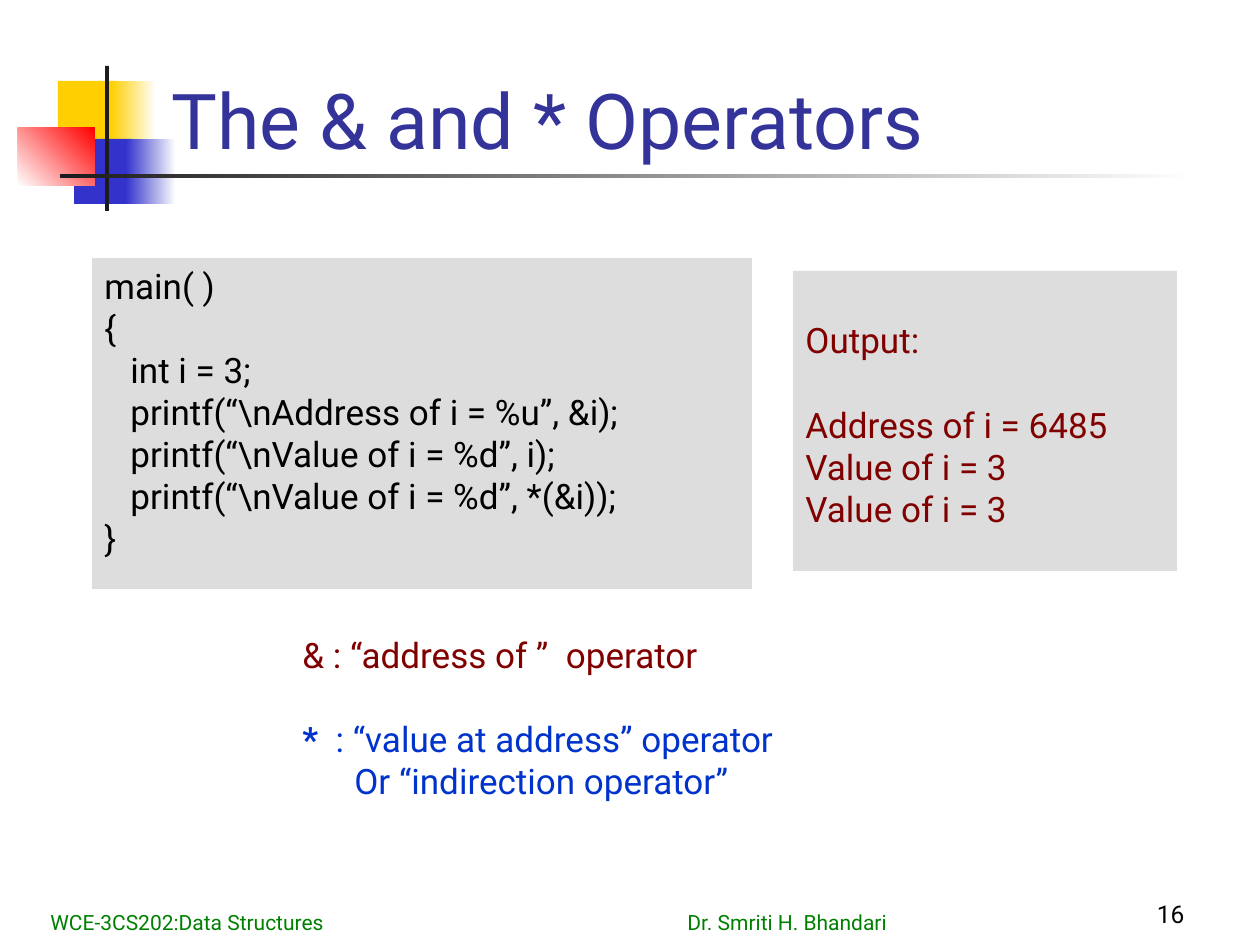
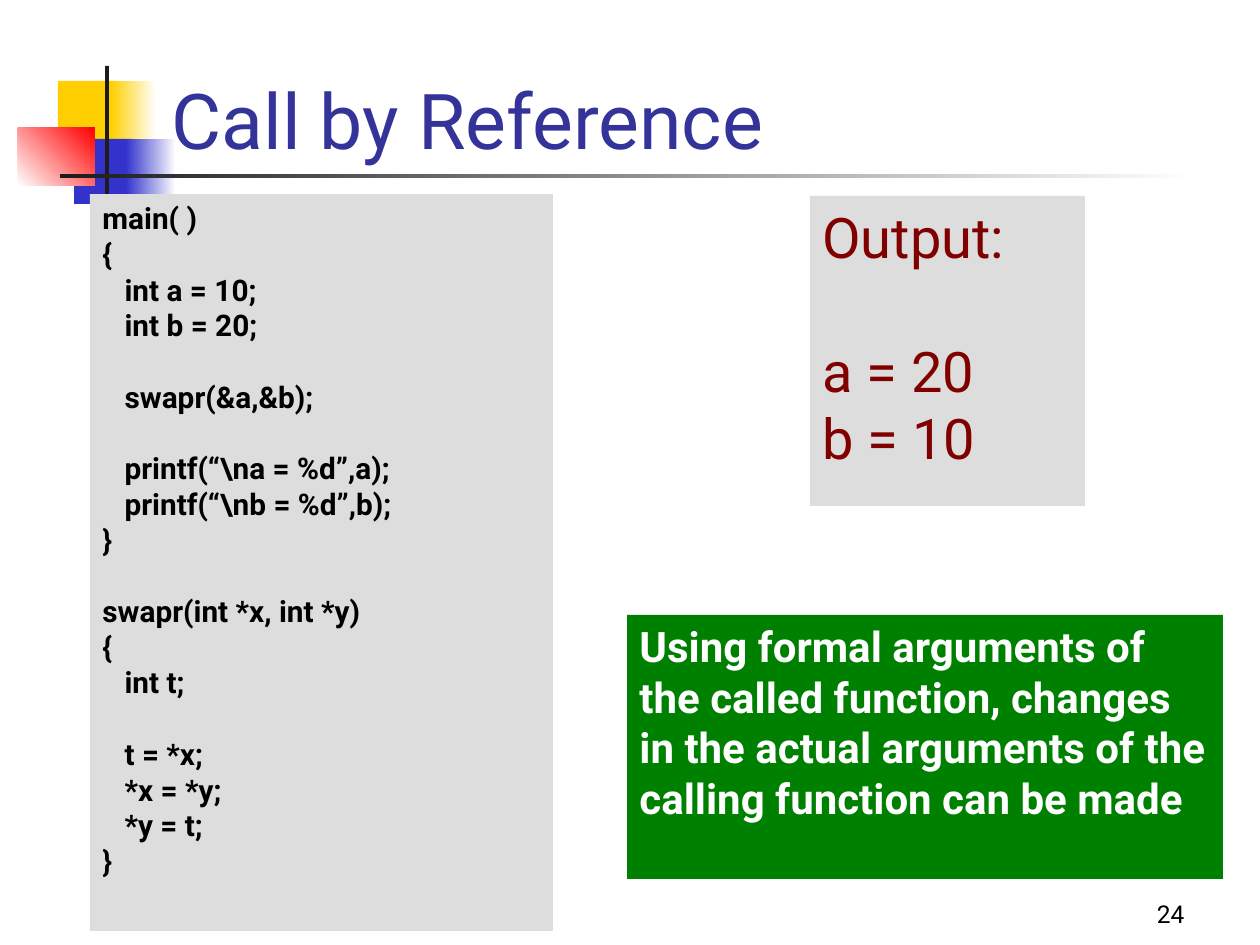
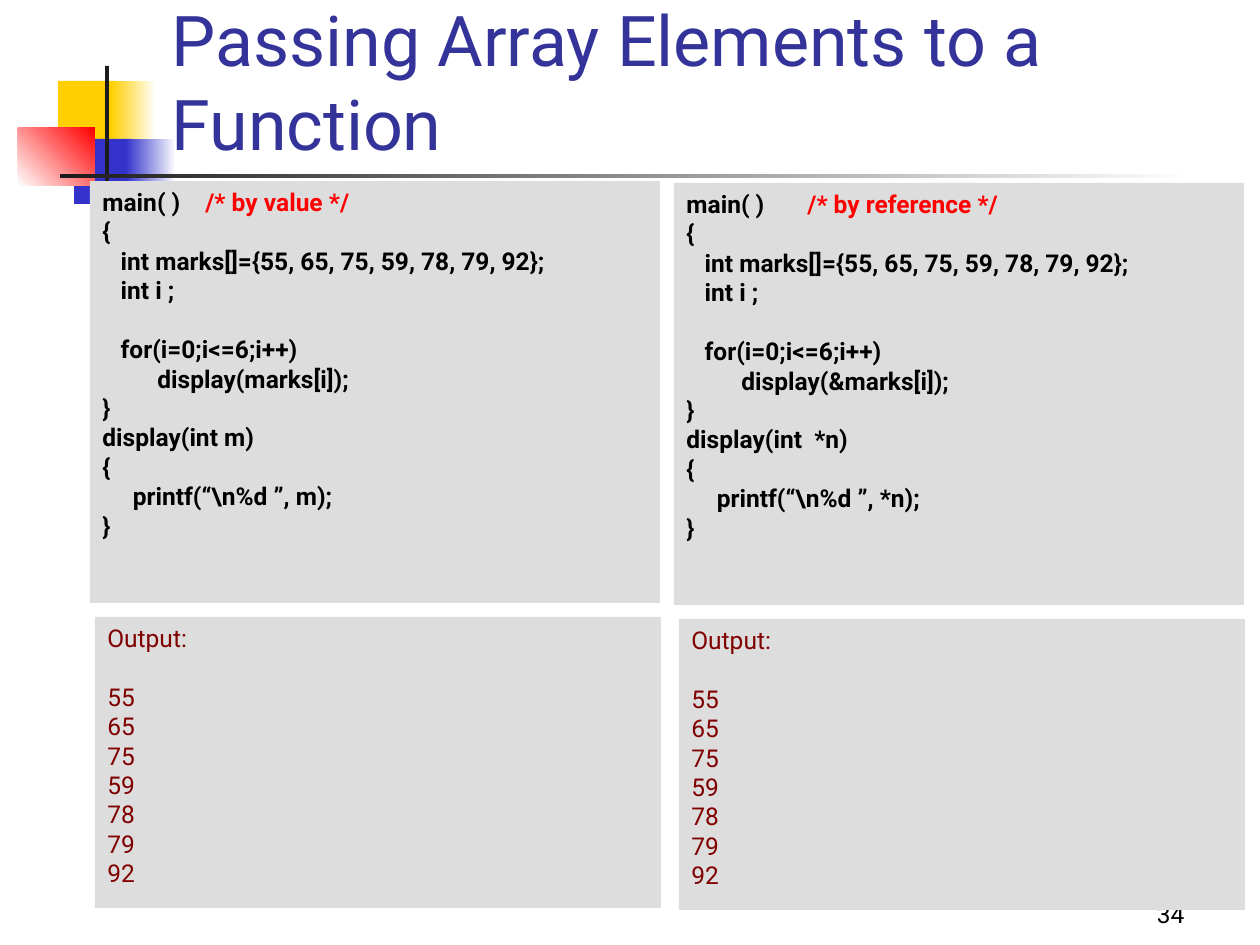
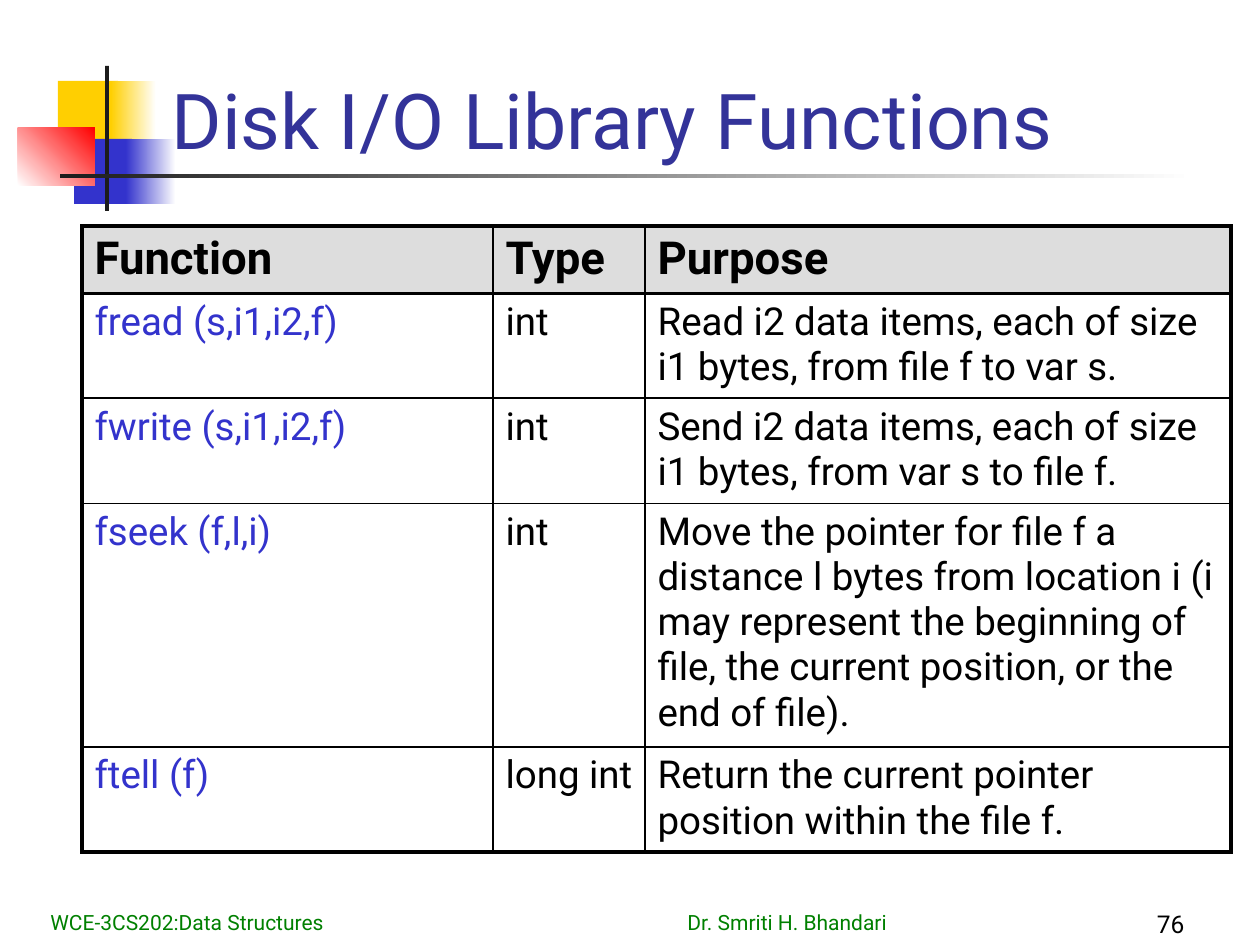
from lxml import etree
from pptx import Presentation
from pptx.dml.color import RGBColor
from pptx.enum.shapes import MSO_SHAPE
from pptx.enum.text import MSO_ANCHOR, MSO_AUTO_SIZE, PP_ALIGN
from pptx.oxml.ns import qn
from pptx.util import Emu, Pt

FONT = "Roboto"
LINE_HEIGHT = 1.2
COLORS = {
    "black": "000000", "white": "FFFFFF", "title": "333399", "panel": "DDDDDD",
    "output": "800000", "green": "008000", "comment": "FF0000", "blue": "0033CC",
    "function": "3333CC", "yellow": "FFCF01", "ink": "1C1C1C", "red": "FF0000",
}


def px(n):
    return Emu(round(n * 914400 / 126))


def box(*lengths):
    return [px(n) for n in lengths]


def rgb(name):
    return RGBColor.from_string(COLORS[name])


# ---- Text helpers ----
def set_font(font, size, color, bold=False):
    font.name, font.size, font.bold = FONT, Pt(size), bold
    font.color.rgb = rgb(color)


def add_tab(p, pos):
    tabs = etree.SubElement(p._p.get_or_add_pPr(), qn("a:tabLst"))
    etree.SubElement(tabs, qn("a:tab"), pos=str(px(pos)), algn="l")


def write_lines(tf, lines, size, color="black", bold=False, tab=None):
    """Write one paragraph per line; an empty line becomes space before the next.

    A line may be a list of (text, colour, bold) runs.
    """
    tf.word_wrap = True
    p, gap = None, 0
    for line in lines:
        if not line:
            gap += 1
            continue
        p = tf.add_paragraph() if p is not None else tf.paragraphs[0]
        p.alignment = PP_ALIGN.LEFT
        if gap:
            p.space_before = Pt(round(gap * size * LINE_HEIGHT, 1))
            gap = 0
        runs = [(line, color, bold)] if isinstance(line, str) else line
        if tab and any("\t" in text for text, _, _ in runs):
            add_tab(p, tab)
        set_font(p.font, size, color, bold)
        for text, run_color, run_bold in runs:
            r = p.add_run()
            r.text = text
            if run_color != color:
                r.font.color.rgb = rgb(run_color)
            if run_bold != bold:
                r.font.bold = run_bold


# ---- Shared parts ----
def add_rect(slide, bounds, fill, fade_to=None, angle=0):
    sp = slide.shapes.add_shape(MSO_SHAPE.RECTANGLE, *box(*bounds))
    sp.shadow.inherit = False
    sp.line.fill.background()
    if fade_to:
        sp.fill.gradient()
        sp.fill.gradient_angle = angle
        for stop, name in zip(sp.fill.gradient_stops, (fill, fade_to)):
            stop.color.rgb = rgb(name)
    else:
        sp.fill.solid()
        sp.fill.fore_color.rgb = rgb(fill)
    return sp


def add_panel(slide, bounds, lines, size, color="black", bold=False,
              fill="panel", tab=None, top=6):
    tf = add_rect(slide, bounds, fill).text_frame
    tf.vertical_anchor = MSO_ANCHOR.TOP
    tf.margin_top = px(top)
    write_lines(tf, lines, size, color, bold, tab)


def add_text(slide, bounds, lines, size, color, anchor=MSO_ANCHOR.TOP, tab=None):
    tf = slide.shapes.add_textbox(*box(*bounds)).text_frame
    tf.vertical_anchor = anchor
    write_lines(tf, lines, size, color, tab=tab)
    return tf


def decorate_master(prs, slide):
    """Draw the coloured squares and rules, then move them to the master."""
    parts = [
        ((58, 81, 60, 65), "yellow"),
        ((111, 81, 45, 65), "yellow", "white"),
        ((74, 139, 58, 65), "function"),
        ((126, 139, 50, 65), "function", "white"),
        ((18, 128, 77, 58), "white", "red", 45),
        ((105, 66, 4, 145), "ink"),
        ((60, 174, 1134, 4), "ink", "white"),
    ]
    tree = prs.slide_master.shapes.element
    for i, part in enumerate(parts):
        sp = add_rect(slide, *part).element
        sp.nvSpPr.cNvPr.set("id", str(100 + i))
        tree.append(sp)


def add_slide(prs, title, number, title_size=44, number_top=872):
    slide = prs.slides.add_slide(prs.slide_layouts[5])
    sp = slide.shapes.title
    sp.left, sp.top, sp.width, sp.height = box(159, 14, 1074, 157)
    tf = sp.text_frame
    tf.auto_size = MSO_AUTO_SIZE.NONE
    tf.vertical_anchor = MSO_ANCHOR.BOTTOM
    write_lines(tf, [title], title_size, "title")
    tf = add_text(slide, (935, number_top, 262, 63), [str(number)], 14, "black",
                  MSO_ANCHOR.BOTTOM)
    tf.paragraphs[0].alignment = PP_ALIGN.RIGHT
    return slide


def add_footer(slide):
    add_text(slide, (38, 897, 999, 44),
             ["WCE-3CS202:Data Structures\tDr. Smriti H. Bhandari"],
             12, "green", MSO_ANCHOR.BOTTOM, tab=637)


# ---- Operators slide ----
def operators_slide(prs):
    slide = add_slide(prs, "The & and * Operators", 16)
    decorate_master(prs, slide)
    code = [
        "main( )",
        "{",
        "   int i = 3;",
        "   printf(“\\nAddress of i = %u”, &i);",
        "   printf(“\\nValue of i = %d”, i);",
        "   printf(“\\nValue of i = %d”, *(&i));",
        "}",
    ]
    add_panel(slide, (92, 258, 660, 331), code, 20)
    output = ["Output:", "", "Address of i = 6485", "Value of i = 3", "Value of i = 3"]
    add_panel(slide, (793, 271, 384, 300), output, 20, "output", top=48)
    legend = [
        "& : “address of ”  operator",
        "",
        [("*", "blue", True), ("  : “value at address” operator", "blue", False)],
        [("Or “indirection operator”", "blue", False)],
    ]
    tf = add_text(slide, (290, 627, 761, 217), legend, 20, "output")
    tf.paragraphs[-1]._p.get_or_add_pPr().set("marL", str(px(52)))
    add_footer(slide)


# ---- Call by reference slide ----
def reference_slide(prs):
    slide = add_slide(prs, "Call by Reference", 24)
    code = [
        "main( )",
        "{",
        "   int a = 10;",
        "   int b = 20;",
        "",
        "   swapr(&a,&b);",
        "",
        "   printf(“\\na = %d”,a);",
        "   printf(“\\nb = %d”,b);",
        "}",
        "",
        "swapr(int *x, int *y)",
        "{",
        "   int t;",
        "",
        "   t = *x;",
        "   *x = *y;",
        "   *y = t;",
        "}",
    ]
    add_panel(slide, (90, 194, 463, 737), code, 17, bold=True)
    add_panel(slide, (810, 196, 275, 310), ["Output:", "", "a = 20", "b = 10"],
              32, "output")
    note = ("Using formal arguments of the called function, changes in the "
            "actual arguments of the calling function can be made")
    add_panel(slide, (627, 615, 596, 264), [note], 24, "white", True, fill="green")


# ---- Array elements slide ----
def array_column(slide, x, y, comment, tab, argument, parameter, value):
    marks = [55, 65, 75, 59, 78, 79, 92]
    code = [
        [("main( )\t", "black", True), (f"/* {comment} */", "comment", True)],
        "{",
        f"   int marks[]={{{', '.join(map(str, marks))}}};",
        "   int i ;",
        "",
        "   for(i=0;i<=6;i++)",
        f"         display({argument});",
        "}",
        f"display({parameter})",
        "{",
        f"     printf(“\\n%d ”, {value});",
        "}",
    ]
    add_panel(slide, (x, y, 570, 422), code, 14, bold=True, tab=tab)
    add_panel(slide, (x + 5, y + 436, 566, 291), ["Output:", "", *map(str, marks)],
              14, "output")


def array_slide(prs):
    slide = add_slide(prs, "Passing Array Elements to a Function", 34, title_size=40)
    array_column(slide, 90, 181, "by value", 103, "marks[i]", "int m", "m")
    array_column(slide, 674, 183, "by reference", 121, "&marks[i]", "int  *n", "*n")


# ---- Library functions slide ----
def set_borders(cell, widths):
    tcPr = cell._tc.get_or_add_tcPr()
    for side, width in zip("LRTB", widths):
        ln = etree.SubElement(tcPr, qn(f"a:ln{side}"), w=str(Pt(width)))
        fill = etree.SubElement(ln, qn("a:solidFill"))
        etree.SubElement(fill, qn("a:srgbClr"), val=COLORS["black"])


def function_table(slide, x, y, rows):
    col_widths, row_heights = (411, 152, 586), (67, 105, 105, 243, 105)
    table = slide.shapes.add_table(
        len(rows), len(col_widths),
        *box(x, y, sum(col_widths), sum(row_heights))).table
    table.first_row = table.horz_banding = False
    for col, width in zip(table.columns, col_widths):
        col.width = px(width)
    thin, thick = 1, 2.25
    last_row, last_col = len(rows) - 1, len(col_widths) - 1
    for i, (row, height) in enumerate(zip(rows, row_heights)):
        table.rows[i].height = px(height)
        for j, text in enumerate(row):
            cell = table.cell(i, j)
            heavy = (j == 0, j == last_col, i <= 1, i in (0, last_row))
            set_borders(cell, [thick if h else thin for h in heavy])
            if i == 0:
                cell.fill.solid()
                cell.fill.fore_color.rgb = rgb("panel")
                write_lines(cell.text_frame, [text], 26, bold=True)
            else:
                cell.fill.background()
                write_lines(cell.text_frame, [text], 22,
                            "function" if j == 0 else "black")


def library_slide(prs):
    slide = add_slide(prs, "Disk I/O Library Functions", 76, number_top=882)
    function_table(slide, 82, 226, [
        ("Function", "Type", "Purpose"),
        ("fread (s,i1,i2,f)", "int",
         "Read i2 data items, each of size i1 bytes, from file f to var s."),
        ("fwrite (s,i1,i2,f)", "int",
         "Send i2 data items, each of size i1 bytes, from var s to file f."),
        ("fseek (f,l,i)", "int",
         "Move the pointer for file f a distance l bytes from location i "
         "(i may represent the beginning of file, the current position, "
         "or the end of file)."),
        ("ftell (f)", "long int",
         "Return the current pointer position within the file f."),
    ])
    add_footer(slide)


def main():
    prs = Presentation()
    prs.slide_width, prs.slide_height = box(1260, 945)
    operators_slide(prs)
    reference_slide(prs)
    array_slide(prs)
    library_slide(prs)
    prs.save("out.pptx")


if __name__ == "__main__":
    main()
